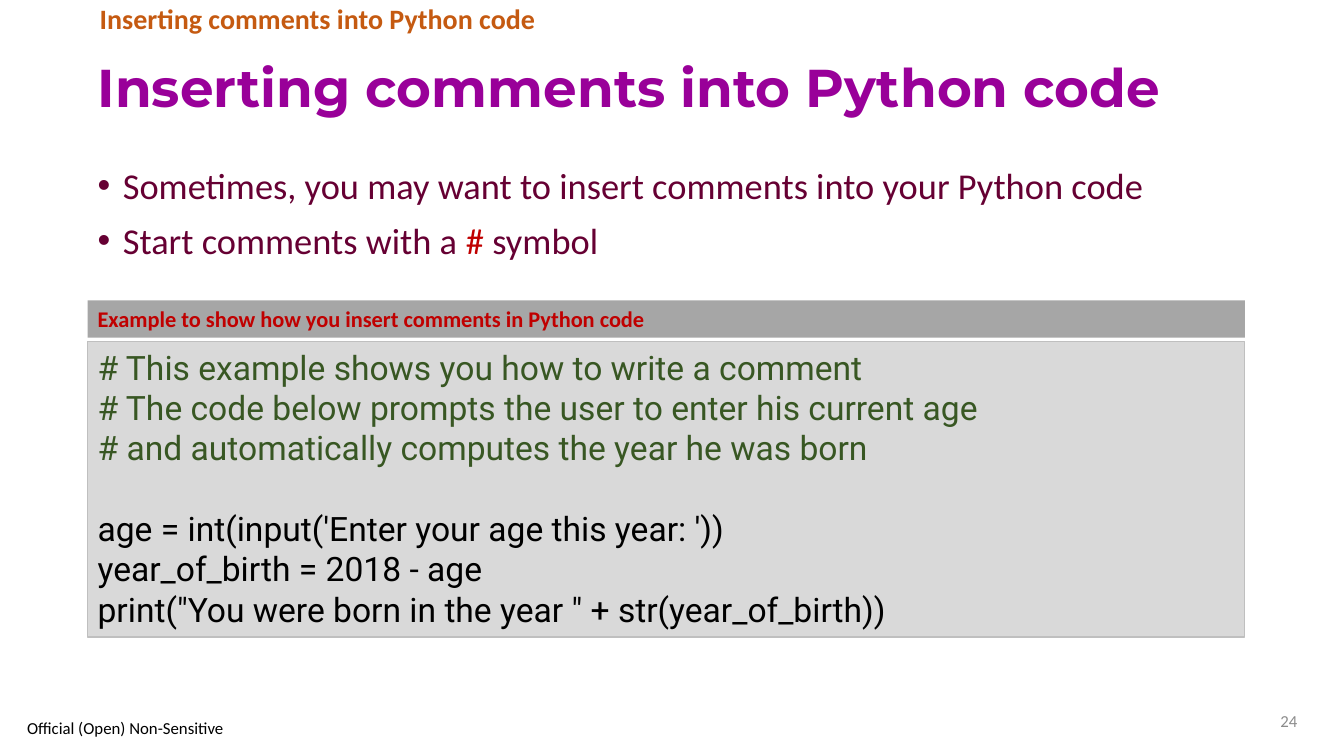
from dataclasses import dataclass, field
from typing import Any

from lxml import etree
from pptx import Presentation
from pptx.dml.color import RGBColor
from pptx.enum.shapes import MSO_SHAPE
from pptx.enum.text import MSO_ANCHOR, PP_ALIGN
from pptx.oxml.ns import qn
from pptx.util import Pt

RECTANGLE = MSO_SHAPE.RECTANGLE
TOP, MIDDLE = MSO_ANCHOR.TOP, MSO_ANCHOR.MIDDLE
LEFT, RIGHT = PP_ALIGN.LEFT, PP_ALIGN.RIGHT


@dataclass(frozen=True)
class Style:
    font: str
    size: float
    color: str
    bold: bool = False


@dataclass(frozen=True)
class Theme:
    title: Style = Style("Montserrat", 38, "990099", True)
    topic: Style = Style("Calibri", 20, "C55A11", True)
    body: Style = Style("Calibri", 26, "660033")
    symbol: Style = Style("Calibri", 26, "C00000")
    label: Style = Style("Calibri", 16, "C00000", True)
    comment: Style = Style("Roboto", 24, "385723")
    code: Style = Style("Roboto", 24, "000000")
    footer: Style = Style("Calibri", 12, "000000")
    number: Style = Style("Calibri", 12, "8C8C8C")
    label_fill: str = "A6A6A6"
    code_fill: str = "D9D9D9"
    code_line: str = "BFBFBF"


@dataclass(frozen=True)
class Span:
    text: str
    style: Style


@dataclass(frozen=True)
class Para:
    spans: list[Span]
    formats: dict[str, Any] = field(default_factory=dict)
    bullet: bool = False


@dataclass(frozen=True)
class Block:
    left: float
    top: float
    width: float
    height: float
    paras: list[Para]
    anchor: MSO_ANCHOR = TOP
    fill: str | None = None
    line: str | None = None


THEME = Theme()
MARGIN = 62.64
TEXT_WIDTH = 870.48
PANEL_WIDTH = 826.56
BULLET_INDENT = 18
CODE_GAP = 28.8
TOPIC = "Inserting comments into Python code"
COMMENTS = [
    "# This example shows you how to write a comment",
    "# The code below prompts the user to enter his current age",
    "# and automatically computes the year he was born",
]
STATEMENTS = [
    "age = int(input('Enter your age this year: '))",
    "year_of_birth = 2018 - age",
    'print("You were born in the year " + str(year_of_birth))',
]


def single(text: str, style: Style, **formats: Any) -> Para:
    return Para([Span(text, style)], formats)


def bullet(*spans: Span) -> Para:
    return Para(list(spans), {"space_before": Pt(8)}, bullet=True)


def code_paras() -> list[Para]:
    """Comments first, then statements set apart by one line of space."""
    first, *rest = STATEMENTS
    return [
        *(single(text, THEME.comment) for text in COMMENTS),
        single(first, THEME.code, space_before=Pt(CODE_GAP)),
        *(single(text, THEME.code) for text in rest),
    ]


def add_bullet(paragraph: Any) -> None:
    properties = paragraph._p.get_or_add_pPr()
    properties.set("marL", str(Pt(BULLET_INDENT)))
    properties.set("indent", str(-Pt(BULLET_INDENT)))
    etree.SubElement(properties, qn("a:buFont")).set("typeface", "Arial")
    etree.SubElement(properties, qn("a:buChar")).set("char", "•")


def write_para(paragraph: Any, para: Para) -> None:
    for name, value in ({"alignment": LEFT} | para.formats).items():
        setattr(paragraph, name, value)
    if para.bullet:
        add_bullet(paragraph)
    for span in para.spans:
        run = paragraph.add_run()
        run.text = span.text
        style = span.style
        formats = {"name": style.font, "size": Pt(style.size), "bold": style.bold}
        for name, value in formats.items():
            setattr(run.font, name, value)
        run.font.color.rgb = RGBColor.from_string(style.color)


def draw_block(page: Any, block: Block) -> None:
    """Draw a plain text box, or a rectangle when the block has a fill."""
    place = [Pt(n) for n in (block.left, block.top, block.width, block.height)]
    if block.fill:
        box = page.shapes.add_shape(RECTANGLE, *place)
        box.shadow.inherit = False
        box.fill.solid()
        box.fill.fore_color.rgb = RGBColor.from_string(block.fill)
        if block.line:
            box.line.color.rgb = RGBColor.from_string(block.line)
            box.line.width = Pt(0.75)
        else:
            box.line.fill.background()
    else:
        box = page.shapes.add_textbox(*place)
    frame = box.text_frame
    frame.word_wrap = True
    frame.vertical_anchor = block.anchor
    for index, para in enumerate(block.paras):
        write_para(frame.add_paragraph() if index else frame.paragraphs[0], para)


BLOCKS = [
    Block(MARGIN, 29.52, TEXT_WIDTH, 69.84,
          [single(TOPIC, THEME.title, line_spacing=0.9)], MIDDLE),
    Block(MARGIN, 113.04, TEXT_WIDTH, 372.96, [
        bullet(Span("Sometimes, you may want to insert comments into your Python code",
                    THEME.body)),
        bullet(Span("Start comments with a ", THEME.body),
               Span("#", THEME.symbol),
               Span(" symbol", THEME.body)),
    ]),
    Block(698.4, 500.4, 235.44, 28.8,
          [single("24", THEME.number, alignment=RIGHT)], MIDDLE),
    Block(64.08, 0, 743.04, 29.52,
          [single(TOPIC, THEME.topic, line_spacing=0.9, space_before=Pt(18))]),
    Block(MARGIN, 244.08, PANEL_WIDTH, 210.96, code_paras(),
          fill=THEME.code_fill, line=THEME.code_line),
    Block(MARGIN, 214.56, PANEL_WIDTH, 26.64,
          [single("Example to show how you insert comments in Python code", THEME.label)],
          fill=THEME.label_fill),
    Block(12.24, 510.48, 161.28, 18.72,
          [single("Official (Open) Non-Sensitive", THEME.footer)], MIDDLE),
]


def main() -> None:
    deck = Presentation()
    deck.slide_width, deck.slide_height = Pt(960), Pt(540)
    page = deck.slides.add_slide(deck.slide_layouts[6])
    for block in BLOCKS:
        draw_block(page, block)
    deck.save("out.pptx")


if __name__ == "__main__":
    main()
